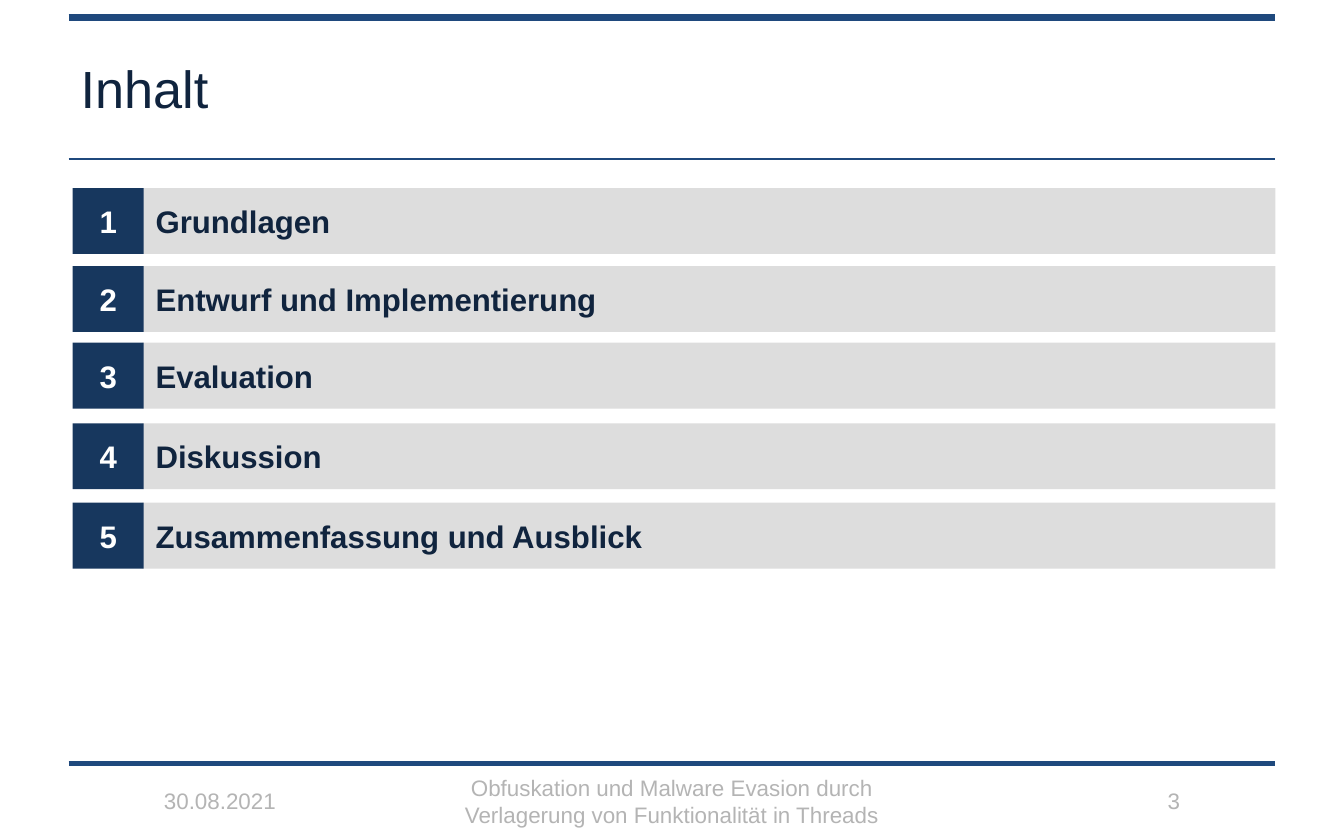
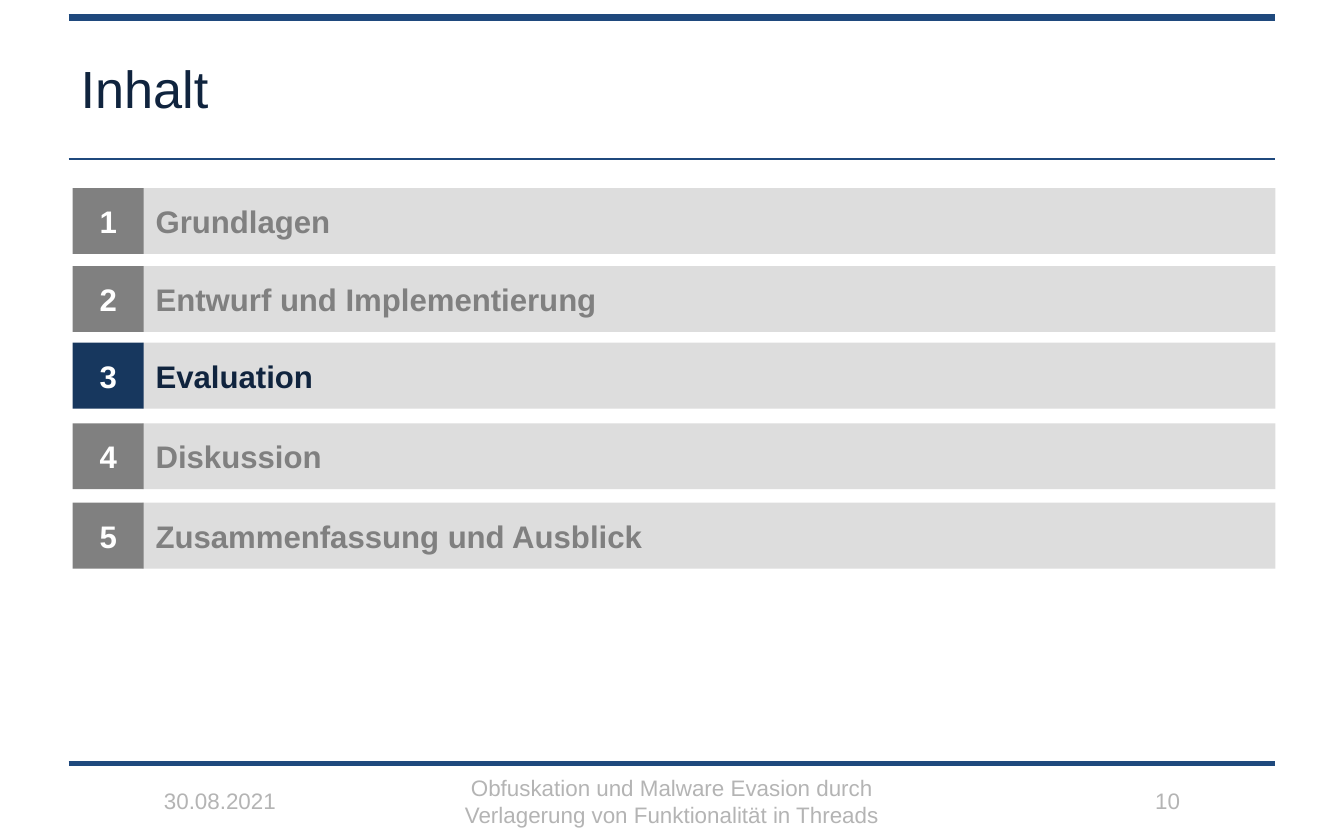
"""Builds the two agenda slides of the thesis talk on malware evasion."""
from dataclasses import dataclass
from typing import Optional

from lxml import etree
from pptx import Presentation
from pptx import util as u
from pptx.dml.color import RGBColor
from pptx.enum import shapes, text

FONT = "Arial"
COLORS = {
    "rule": "1F497D",
    "number": "17375E",
    "heading": "10243E",
    "bar": "DDDDDD",
    "dimmed": "808080",
    "footer": "B4B4B4",
    "white": "FFFFFF",
}
LEFT, CENTER, RIGHT = text.PP_ALIGN.LEFT, text.PP_ALIGN.CENTER, text.PP_ALIGN.RIGHT

RULE_LEFT, RULE_RIGHT = 0.51, 9.49
NUMBER_LEFT, NUMBER_WIDTH = 0.54, 0.53
BAR_LEFT, BAR_WIDTH = 1.06, 8.43
ROW_HEIGHT = 0.49
FOOTER_TOP, FOOTER_HEIGHT = 5.73, 0.46


@dataclass(frozen=True)
class Rule:
    """A horizontal rule across the slide."""
    top: float
    weight: float


@dataclass(frozen=True)
class Section:
    """One numbered agenda row."""
    heading: str
    top: float


@dataclass(frozen=True)
class FooterField:
    """One text field of the footer."""
    wording: str
    left: float
    width: float
    align: text.PP_ALIGN


@dataclass(frozen=True)
class Agenda:
    """An agenda slide, with an optional highlighted section."""
    page: int
    current: Optional[int] = None


RULES = [Rule(5.68, 2.5), Rule(0.13, 4), Rule(1.18, 1)]
SECTIONS = [
    Section("Grundlagen", 1.4),
    Section("Entwurf und Implementierung", 1.98),
    Section("Evaluation", 2.55),
    Section("Diskussion", 3.15),
    Section("Zusammenfassung und Ausblick", 3.74),
]
AGENDAS = [Agenda(page=3), Agenda(page=10, current=3)]


def color(key: str) -> RGBColor:
    """Return a palette colour."""
    return RGBColor.from_string(COLORS[key])


def write(frame, wording: str, size: float, ink: str, align, bold: bool = False) -> None:
    """Fill a text frame with one formatted, vertically centred paragraph."""
    frame.text = wording
    frame.vertical_anchor = text.MSO_ANCHOR.MIDDLE
    paragraph = frame.paragraphs[0]
    paragraph.alignment = align
    for run in paragraph.runs:
        run.font.name = FONT
        run.font.size = u.Pt(size)
        run.font.bold = bold
        run.font.color.rgb = color(ink)


def draw_rule(slide, rule: Rule) -> None:
    """Draw a horizontal rule without a shadow."""
    top = u.Inches(rule.top)
    line = slide.shapes.add_connector(
        shapes.MSO_CONNECTOR.STRAIGHT, u.Inches(RULE_LEFT), top, u.Inches(RULE_RIGHT), top)
    line.line.color.rgb = color("rule")
    line.line.width = u.Pt(rule.weight)
    properties = line._element.spPr
    etree.SubElement(properties, f"{{{properties.nsmap['a']}}}effectLst")


def draw_title(slide, wording: str) -> None:
    """Place and format the title placeholder."""
    title = slide.shapes.title
    title.left, title.top = u.Inches(0.5), u.Inches(0.13)
    title.width, title.height = u.Inches(9), u.Inches(1.05)
    write(title.text_frame, wording, 28, "heading", LEFT)


def draw_cell(slide, wording: str, left: float, top: float, width: float,
              fill: str, ink: str, align) -> None:
    """Draw one filled rectangle of an agenda row."""
    cell = slide.shapes.add_shape(
        shapes.MSO_SHAPE.RECTANGLE, u.Inches(left), u.Inches(top),
        u.Inches(width), u.Inches(ROW_HEIGHT))
    cell.shadow.inherit = False
    cell.fill.solid()
    cell.fill.fore_color.rgb = color(fill)
    cell.line.fill.background()
    cell.text_frame.word_wrap = False
    write(cell.text_frame, wording, 16.7, ink, align, bold=True)


def draw_section(slide, number: int, section: Section, active: bool) -> None:
    """Draw the number and heading of one section."""
    number_fill, heading_ink = ("number", "heading") if active else ("dimmed", "dimmed")
    draw_cell(slide, section.heading, BAR_LEFT, section.top, BAR_WIDTH,
              "bar", heading_ink, LEFT)
    draw_cell(slide, str(number), NUMBER_LEFT, section.top, NUMBER_WIDTH,
              number_fill, "white", CENTER)


def draw_footer(slide, page: int) -> None:
    """Draw date, talk title and page number."""
    fields = [
        FooterField("30.08.2021", 1.22, 1.8, LEFT),
        FooterField("Obfuskation und Malware Evasion durch "
                    "Verlagerung von Funktionalität in Threads", 3.05, 3.9, CENTER),
        FooterField(str(page), 6.98, 1.8, RIGHT),
    ]
    for field in fields:
        frame = slide.shapes.add_textbox(
            u.Inches(field.left), u.Inches(FOOTER_TOP),
            u.Inches(field.width), u.Inches(FOOTER_HEIGHT)).text_frame
        frame.word_wrap = True
        frame.margin_left = frame.margin_right = u.Inches(0)
        frame.margin_top = frame.margin_bottom = u.Inches(0)
        write(frame, field.wording, 12, "footer", field.align)


def build_agenda(deck, agenda: Agenda) -> None:
    """Add one agenda slide."""
    slide = deck.slides.add_slide(deck.slide_layouts.get_by_name("Title Only"))
    for rule in RULES:
        draw_rule(slide, rule)
    draw_title(slide, "Inhalt")
    for number, section in enumerate(SECTIONS, start=1):
        draw_section(slide, number, section, agenda.current in (None, number))
    draw_footer(slide, agenda.page)


def main() -> None:
    """Build and save the presentation."""
    deck = Presentation()
    deck.slide_width, deck.slide_height = u.Inches(10), u.Inches(6.25)
    for agenda in AGENDAS:
        build_agenda(deck, agenda)
    deck.save("out.pptx")


if __name__ == "__main__":
    main()
